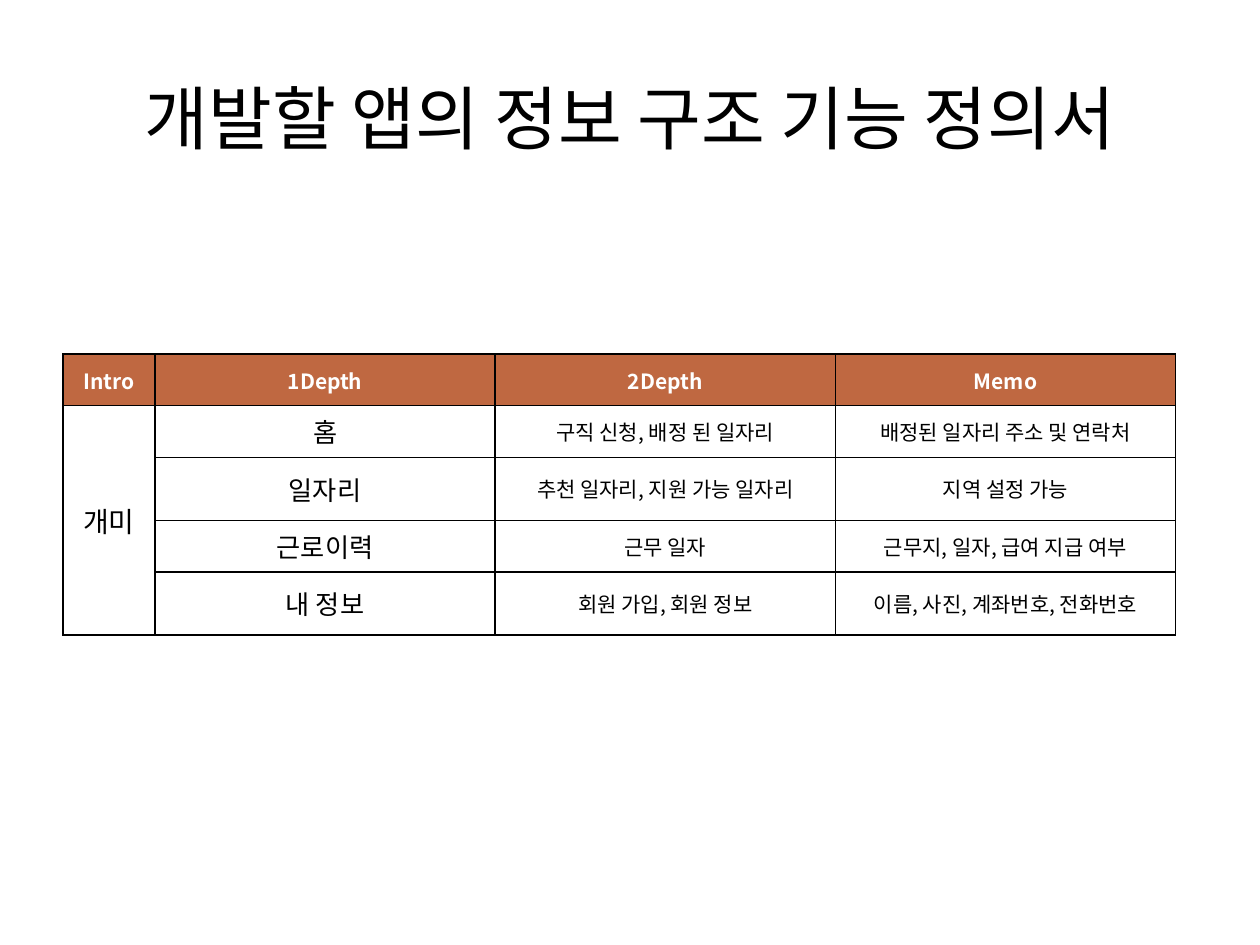
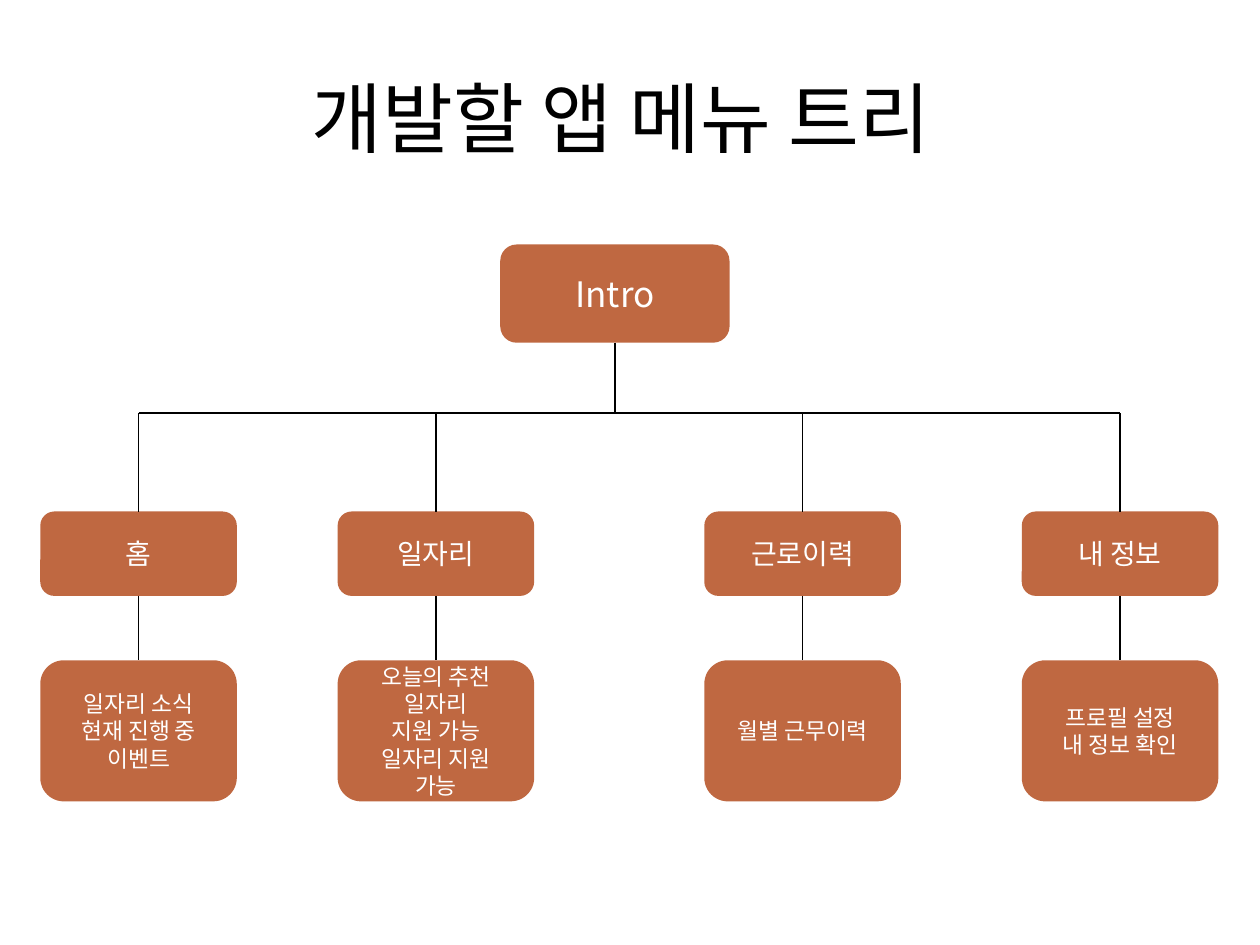
"""Build two slides: an app feature table and an app menu tree."""
from typing import NamedTuple

from lxml import etree
from pptx import Presentation
from pptx.dml.color import RGBColor
from pptx.enum.shapes import MSO_CONNECTOR, MSO_SHAPE
from pptx.enum.text import MSO_ANCHOR, PP_ALIGN
from pptx.oxml.ns import qn
from pptx.util import Pt

PX = 9144
FONT = "Noto Sans CJK KR"
RUST = RGBColor(0xBF, 0x68, 0x41)
BLACK = RGBColor(0, 0, 0)
WHITE = RGBColor(255, 255, 255)
STRAIGHT = MSO_CONNECTOR.STRAIGHT
ROUNDED = MSO_SHAPE.ROUNDED_RECTANGLE
MIDDLE = MSO_ANCHOR.MIDDLE
CENTER = PP_ALIGN.CENTER
TOP, BOTTOM = 0, 2

TABLE_LEFT, TABLE_TOP = 50, 281
COLUMN_WIDTHS = (73, 270, 270, 270)
ROW_HEIGHTS = (41, 41, 50, 41, 50)
HEADERS = ("Intro", "1Depth", "2Depth", "Memo")
BODY_SIZES = (16, 15, 12, 12)
FEATURES = (
    ("개미", "홈", "구직 신청, 배정 된 일자리", "배정된 일자리 주소 및 연락처"),
    ("", "일자리", "추천 일자리, 지원 가능 일자리", "지역 설정 가능"),
    ("", "근로이력", "근무 일자", "근무지, 일자, 급여 지급 여부"),
    ("", "내 정보", "회원 가입, 회원 정보", "이름, 사진, 계좌번호, 전화번호"),
)

NODE_WIDTH = 156
MENU_TOP, MENU_HEIGHT = 406, 67
DETAIL_TOP, DETAIL_HEIGHT = 524, 112
BUS_Y = 328


class Node(NamedTuple):
    """A rounded box of the menu tree."""
    left: int
    top: int
    width: int
    height: int
    size: int
    lines: tuple[str, ...]

    @property
    def center(self) -> int:
        """Return the horizontal middle."""
        return self.left + self.width // 2


class Branch(NamedTuple):
    """A menu entry and its details."""
    left: int
    name: str
    details: tuple[str, ...]


ROOT = Node(397, 194, 182, 78, 20, ("Intro",))
BRANCHES = (
    Branch(32, "홈", ("일자리 소식", "현재 진행 중 이벤트")),
    Branch(268, "일자리", ("오늘의 추천 일자리", "지원 가능 일자리 지원 가능")),
    Branch(559, "근로이력", ("월별 근무이력",)),
    Branch(811, "내 정보", ("프로필 설정", "내 정보 확인")),
)


def write(frame, lines: tuple[str, ...], size: float, color: RGBColor, bold: bool = False) -> None:
    """Fill a text frame with centred paragraphs."""
    frame.word_wrap = True
    for index, line in enumerate(lines):
        para = frame.add_paragraph() if index else frame.paragraphs[0]
        para.text = line
        para.alignment = CENTER
        font = para.font
        font.name, font.size, font.bold = FONT, Pt(size), bold
        font.color.rgb = color
        defaults = para._p.pPr.find(qn("a:defRPr"))
        etree.SubElement(defaults, qn("a:ea"), typeface=FONT)


def add_page(deck, title: str, size: float):
    """Add a blank page with a centred title."""
    page = deck.slides.add_slide(deck.slide_layouts[6])
    box = page.shapes.add_textbox(50 * PX, 30 * PX, 900 * PX, 125 * PX)
    box.text_frame.vertical_anchor = MIDDLE
    write(box.text_frame, (title,), size, BLACK)
    return page


def add_borders(cell) -> None:
    """Draw a thin black line on every side of a cell."""
    properties = cell._tc.get_or_add_tcPr()
    for index, side in enumerate(("lnL", "lnR", "lnT", "lnB")):
        line = etree.Element(qn(f"a:{side}"), w=str(Pt(1)))
        fill = etree.SubElement(line, qn("a:solidFill"))
        etree.SubElement(fill, qn("a:srgbClr"), val=str(BLACK))
        properties.insert(index, line)


def add_feature_table(page) -> None:
    """Add the feature table with its merged first column."""
    rows = (HEADERS, *FEATURES)
    table = page.shapes.add_table(
        len(rows), len(HEADERS), TABLE_LEFT * PX, TABLE_TOP * PX,
        sum(COLUMN_WIDTHS) * PX, sum(ROW_HEIGHTS) * PX).table
    table.first_row = table.horz_banding = False
    for column, width in zip(table.columns, COLUMN_WIDTHS):
        column.width = width * PX
    for row, height in zip(table.rows, ROW_HEIGHTS):
        row.height = height * PX
    for row_index, texts in enumerate(rows):
        for column_index, text in enumerate(texts):
            cell = table.cell(row_index, column_index)
            cell.vertical_anchor = MIDDLE
            if row_index == 0:
                cell.fill.solid()
                cell.fill.fore_color.rgb = RUST
                write(cell.text_frame, (text,), 12, WHITE, True)
            else:
                cell.fill.background()
                write(cell.text_frame, (text,), BODY_SIZES[column_index], BLACK)
            add_borders(cell)
    table.cell(1, 0).merge(table.cell(len(FEATURES), 0))


def add_node(page, node: Node):
    """Draw a rounded box with its text."""
    box = page.shapes.add_shape(
        ROUNDED, node.left * PX, node.top * PX, node.width * PX, node.height * PX)
    box.shadow.inherit = False
    box.fill.solid()
    box.fill.fore_color.rgb = RUST
    box.line.fill.background()
    frame = box.text_frame
    frame.vertical_anchor = MIDDLE
    frame.margin_left = frame.margin_right = 15 * PX
    write(frame, node.lines, node.size, WHITE)
    return box


def add_line(page, x1: int, y1: int, x2: int, y2: int, begin=None, end=None) -> None:
    """Draw a line, joined to the bottom of begin and the top of end."""
    line = page.shapes.add_connector(STRAIGHT, x1 * PX, y1 * PX, x2 * PX, y2 * PX)
    line.line.color.rgb = BLACK
    line.line.width = Pt(1)
    etree.SubElement(line._element.spPr, qn("a:effectLst"))
    if begin is not None:
        line.begin_connect(begin, BOTTOM)
    if end is not None:
        line.end_connect(end, TOP)


def add_menu_tree(page) -> None:
    """Draw the root, the shared bus line and each branch."""
    root = add_node(page, ROOT)
    add_line(page, ROOT.center, ROOT.top + ROOT.height, ROOT.center, BUS_Y, begin=root)
    centers = []
    for branch in BRANCHES:
        menu = Node(branch.left, MENU_TOP, NODE_WIDTH, MENU_HEIGHT, 16, (branch.name,))
        detail = Node(branch.left, DETAIL_TOP, NODE_WIDTH, DETAIL_HEIGHT, 13, branch.details)
        menu_box, detail_box = add_node(page, menu), add_node(page, detail)
        x = menu.center
        add_line(page, x, BUS_Y, x, MENU_TOP, end=menu_box)
        add_line(page, x, MENU_TOP + MENU_HEIGHT, x, DETAIL_TOP, menu_box, detail_box)
        centers.append(x)
    add_line(page, centers[0], BUS_Y, centers[-1], BUS_Y)


def main() -> None:
    """Build and save the deck."""
    deck = Presentation()
    deck.slide_width, deck.slide_height = 1000 * PX, 750 * PX
    add_feature_table(add_page(deck, "개발할 앱의 정보 구조 기능 정의서", 39.6))
    add_menu_tree(add_page(deck, "개발할 앱 메뉴 트리 ", 44))
    deck.save("out.pptx")


if __name__ == "__main__":
    main()
